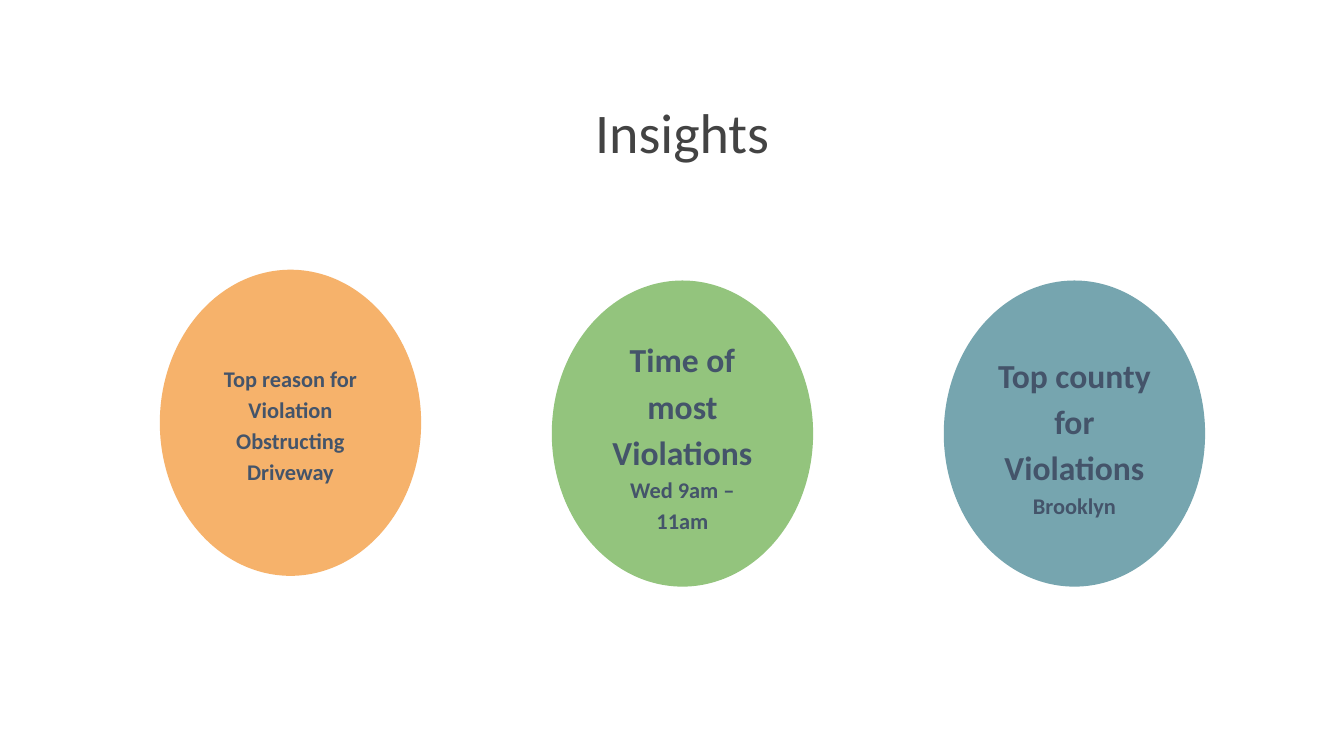
"""Build the Insights slide with three parking violation findings."""
import pptx
import pptx.dml.color
import pptx.enum.shapes
import pptx.enum.text
import pptx.util

Pt = pptx.util.Pt
RGBColor = pptx.dml.color.RGBColor

FONT = "Calibri"
CHARCOAL = RGBColor(0x43, 0x43, 0x43)
SLATE = RGBColor(0x44, 0x54, 0x6A)
ORANGE = RGBColor(0xF6, 0xB2, 0x6B)
GREEN = RGBColor(0x93, 0xC4, 0x7D)
TEAL = RGBColor(0x76, 0xA5, 0xAF)

FIRST_LEFT = 85.6
OVAL_STEP = 210
OVAL_WIDTH, OVAL_HEIGHT = 140, 164

INSIGHTS = [
    (144.5, ORANGE, [("Top reason for Violation", 12), ("Obstructing Driveway", 12)]),
    (150.3, GREEN, [("Time of most Violations", 18), ("Wed 9am – 11am", 12)]),
    (150.3, TEAL, [("Top county for Violations", 18), ("Brooklyn", 12)]),
]


def set_frame(text_frame, anchor):
    text_frame.word_wrap = True
    text_frame.auto_size = pptx.enum.text.MSO_AUTO_SIZE.NONE
    text_frame.vertical_anchor = anchor
    text_frame.margin_left = text_frame.margin_right = Pt(7.2)
    text_frame.margin_top = text_frame.margin_bottom = Pt(7.2)


def write_paragraph(paragraph, text, size, color, line_spacing, bold=False):
    paragraph.text = text
    paragraph.alignment = pptx.enum.text.PP_ALIGN.CENTER
    paragraph.line_spacing = line_spacing
    paragraph.font.name = FONT
    paragraph.font.size = Pt(size)
    paragraph.font.bold = bold
    paragraph.font.color.rgb = color


def add_title(slide, text):
    title = slide.shapes.title
    title.left, title.top, title.width, title.height = Pt(30), Pt(49), Pt(671), Pt(45.4)
    set_frame(title.text_frame, pptx.enum.text.MSO_ANCHOR.TOP)
    write_paragraph(title.text_frame.paragraphs[0], text, 30, CHARCOAL, 0.9)


def add_insight(slide, left, top, color, lines):
    oval = slide.shapes.add_shape(
        pptx.enum.shapes.MSO_SHAPE.FLOWCHART_CONNECTOR,
        Pt(left), Pt(top), Pt(OVAL_WIDTH), Pt(OVAL_HEIGHT))
    oval.shadow.inherit = False
    oval.fill.solid()
    oval.fill.fore_color.rgb = color
    oval.line.fill.background()
    text_frame = oval.text_frame
    set_frame(text_frame, pptx.enum.text.MSO_ANCHOR.MIDDLE)
    for index, (text, size) in enumerate(lines):
        paragraph = text_frame.add_paragraph() if index else text_frame.paragraphs[0]
        write_paragraph(paragraph, text, size, SLATE, 1.15, bold=True)


def main():
    presentation = pptx.Presentation()
    presentation.slide_width, presentation.slide_height = Pt(720), Pt(405)
    slide = presentation.slides.add_slide(presentation.slide_layouts.get_by_name("Title Only"))
    add_title(slide, "Insights")
    for index, (top, color, lines) in enumerate(INSIGHTS):
        add_insight(slide, FIRST_LEFT + index * OVAL_STEP, top, color, lines)
    presentation.save("out.pptx")


if __name__ == "__main__":
    main()
